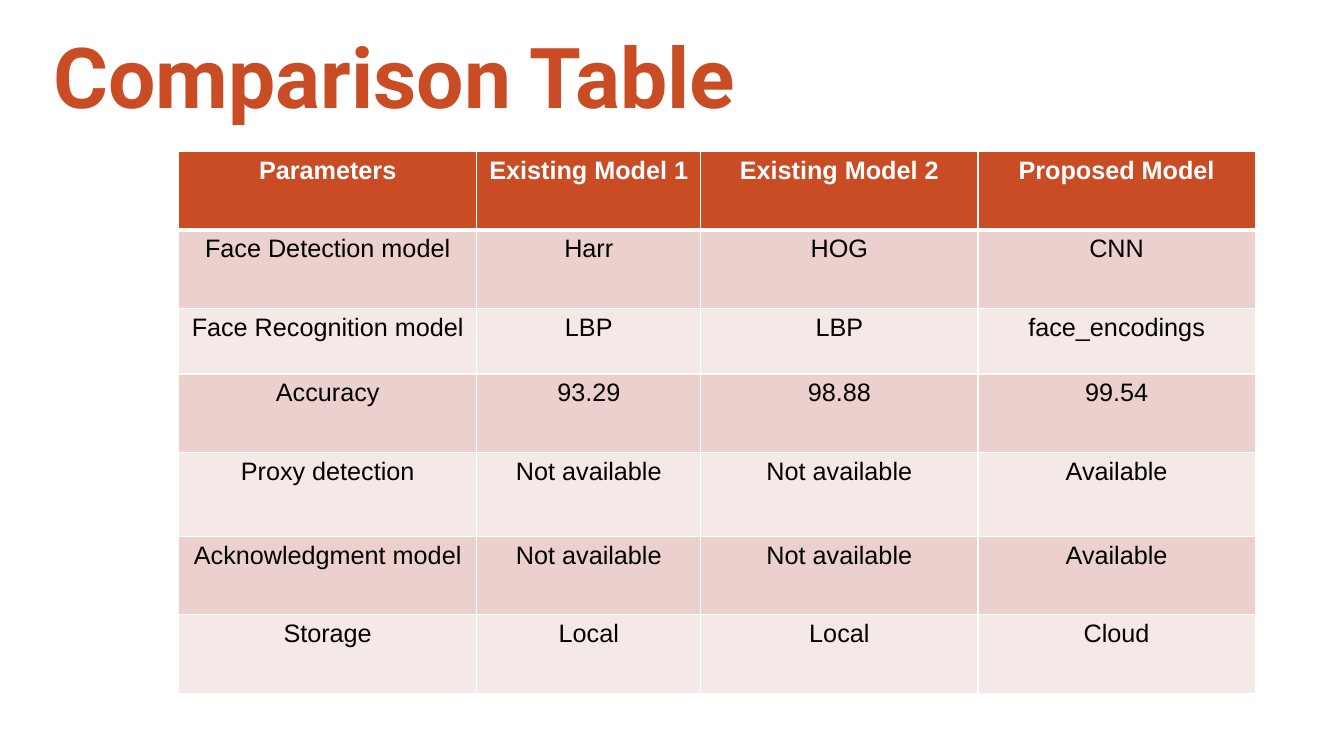
"""Build the slide that compares face attendance models in a table."""
from dataclasses import dataclass

from lxml import etree
from pptx import Presentation
from pptx.dml.color import RGBColor
from pptx.enum.text import MSO_ANCHOR, MSO_AUTO_SIZE, PP_ALIGN
from pptx.oxml.ns import qn
from pptx.slide import Slide
from pptx.table import _Cell
from pptx.text.text import TextFrame
from pptx.util import Inches, Pt

LEFT, CENTER = PP_ALIGN.LEFT, PP_ALIGN.CENTER
BOTTOM = MSO_ANCHOR.BOTTOM
NO_AUTOFIT = MSO_AUTO_SIZE.NONE
TITLE_ONLY = 5


@dataclass(frozen=True)
class Theme:
    accent: str = "C94C25"
    band_dark: str = "EBD0CD"
    band_light: str = "F5E9E8"
    white: str = "FFFFFF"
    black: str = "000000"
    title_font: str = "Roboto"
    table_font: str = "Arial"
    title_size: int = 60
    table_size: int = 18
    grid_width: int = 1
    header_rule_width: int = 3


@dataclass(frozen=True)
class ComparisonRow:
    height: float
    values: tuple[str, str, str, str]


THEME = Theme()
COLUMN_WIDTHS = (2.96, 2.22, 2.75, 2.75)
COMPARISON = (
    ComparisonRow(0.78, ("Parameters", "Existing Model 1", "Existing Model 2", "Proposed Model")),
    ComparisonRow(0.78, ("Face Detection model", "Harr", "HOG", "CNN")),
    ComparisonRow(0.65, ("Face Recognition model", "LBP", "LBP", "face_encodings")),
    ComparisonRow(0.78, ("Accuracy", "93.29", "98.88", "99.54")),
    ComparisonRow(0.83, ("Proxy detection", "Not available", "Not available", "Available")),
    ComparisonRow(0.78, ("Acknowledgment model", "Not available", "Not available", "Available")),
    ComparisonRow(0.78, ("Storage", "Local", "Local", "Cloud")),
)


def write_text(frame: TextFrame, text: str, *, font: str, size: int, color: str,
               bold: bool = False, align: PP_ALIGN = LEFT) -> None:
    paragraph = frame.paragraphs[0]
    paragraph.alignment = align
    run = paragraph.add_run()
    run.text = text
    run.font.name = font
    run.font.size = Pt(size)
    run.font.bold = bold
    run.font.color.rgb = RGBColor.from_string(color)


def set_borders(cell: _Cell, row_index: int) -> None:
    properties = cell._tc.get_or_add_tcPr()
    header_edge = {0: "B", 1: "T"}.get(row_index)
    for side in "LRTB":
        width = THEME.header_rule_width if side == header_edge else THEME.grid_width
        border = etree.SubElement(properties, qn(f"a:ln{side}"), w=str(Pt(width)))
        fill = etree.SubElement(border, qn("a:solidFill"))
        etree.SubElement(fill, qn("a:srgbClr"), val=THEME.white)


def add_title(slide: Slide) -> None:
    title = slide.shapes.title
    title.left, title.top = Inches(0.33), Inches(-1.83)
    title.width, title.height = Inches(11.5), Inches(3.12)
    frame = title.text_frame
    frame.auto_size = NO_AUTOFIT
    frame.word_wrap = True
    frame.vertical_anchor = BOTTOM
    frame.margin_left, frame.margin_right = Inches(0.2), 0
    write_text(frame, "Comparison Table", font=THEME.title_font,
               size=THEME.title_size, color=THEME.accent, bold=True)


def add_comparison(slide: Slide) -> None:
    height = sum(row.height for row in COMPARISON)
    table = slide.shapes.add_table(
        len(COMPARISON), len(COLUMN_WIDTHS), Inches(1.77), Inches(1.5),
        Inches(sum(COLUMN_WIDTHS)), Inches(height)).table
    for column, width in zip(table.columns, COLUMN_WIDTHS):
        column.width = Inches(width)
    for row_index, row in enumerate(COMPARISON):
        table.rows[row_index].height = Inches(row.height)
        is_header = row_index == 0
        band = THEME.band_dark if row_index % 2 else THEME.band_light
        for column_index, value in enumerate(row.values):
            cell = table.cell(row_index, column_index)
            set_borders(cell, row_index)
            cell.fill.solid()
            cell.fill.fore_color.rgb = RGBColor.from_string(THEME.accent if is_header else band)
            write_text(cell.text_frame, value, font=THEME.table_font, size=THEME.table_size,
                       color=THEME.white if is_header else THEME.black,
                       bold=is_header, align=CENTER)


def main() -> None:
    presentation = Presentation()
    presentation.slide_width, presentation.slide_height = Inches(13.33), Inches(7.5)
    slide = presentation.slides.add_slide(presentation.slide_layouts[TITLE_ONLY])
    add_title(slide)
    add_comparison(slide)
    presentation.save("out.pptx")


if __name__ == "__main__":
    main()
